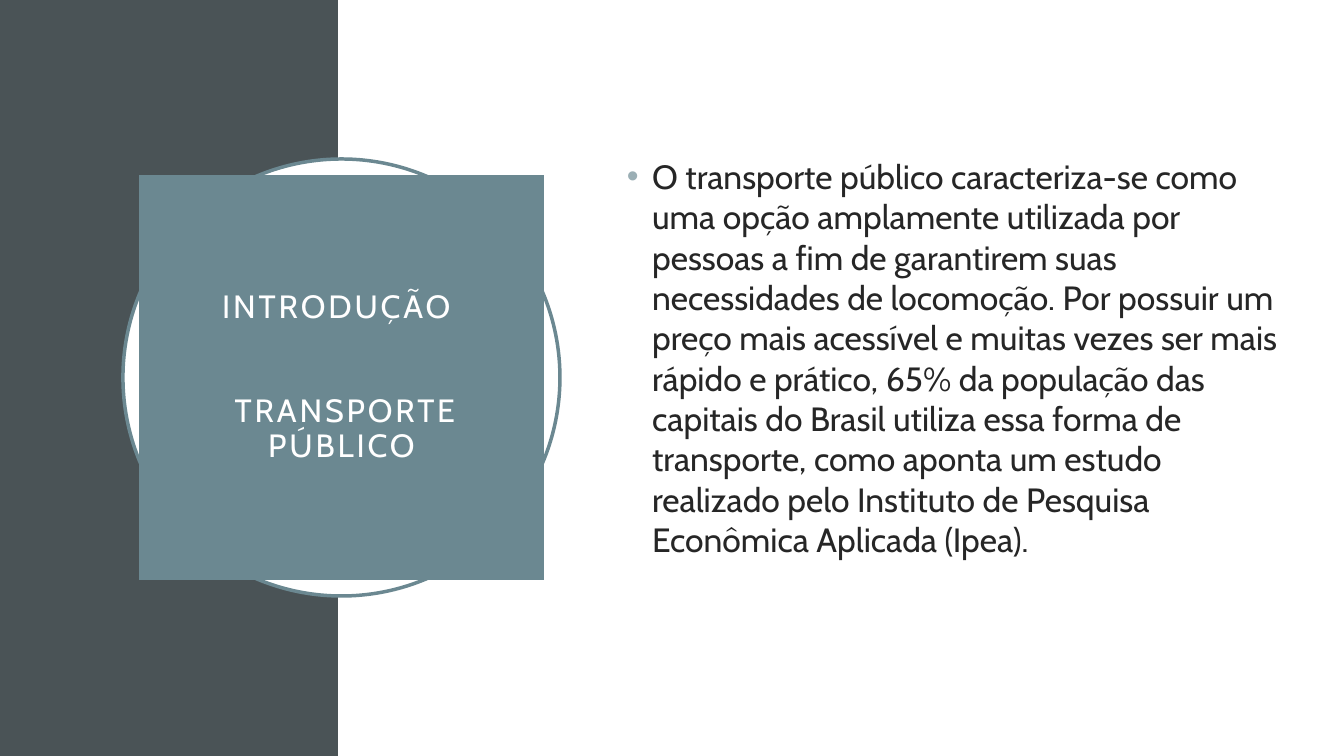
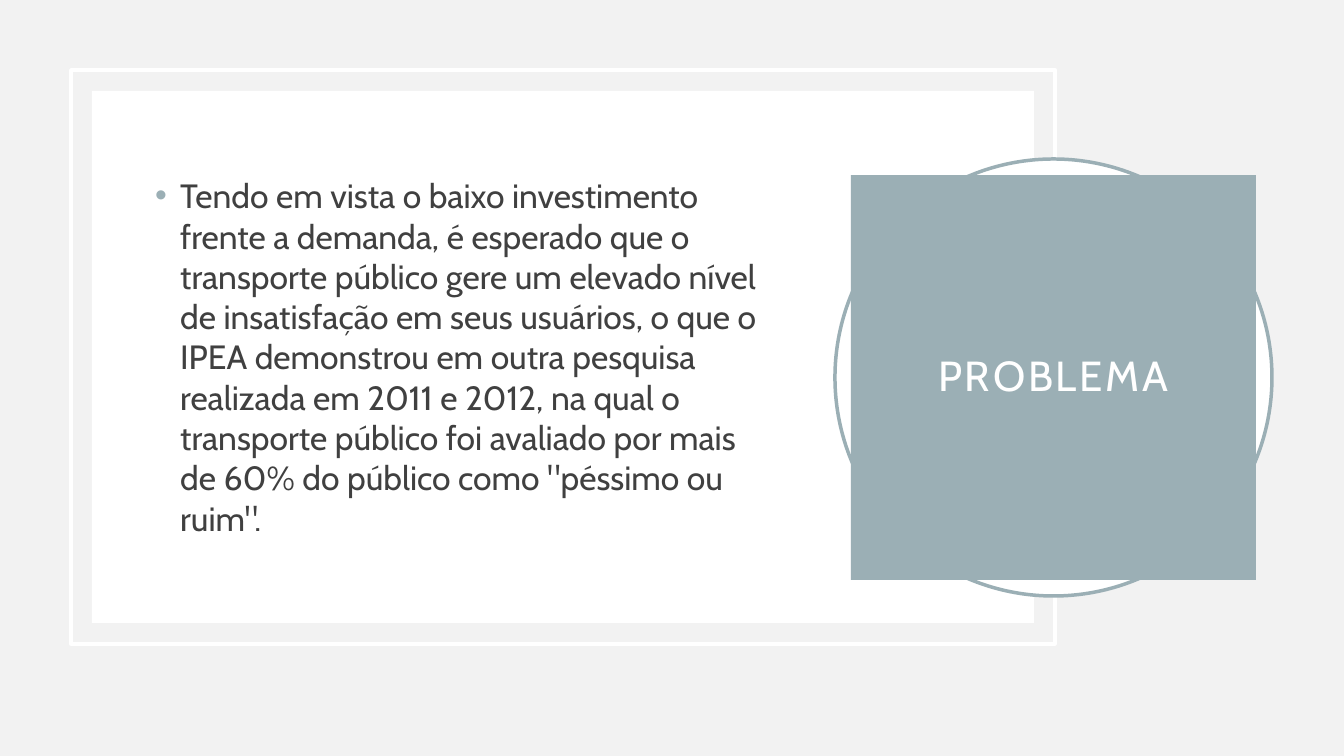
from pptx import Presentation
from pptx.dml.color import RGBColor
from pptx.enum.shapes import MSO_SHAPE as SHAPE
from pptx.enum.text import MSO_ANCHOR as ANCHOR, PP_ALIGN as ALIGN
from pptx.oxml.ns import qn
from pptx.util import Pt
from lxml.etree import SubElement

PX = 914400 / 100.8
WIDTH, HEIGHT = 1344, 756
FONT = "Cabin"
WHITE, PALE, SLATE = "FFFFFF", "F2F2F2", "4A5356"
TEAL, MIST = "6B8891", "9BAFB5"
INK, GRAPHITE = "262626", "404040"
LINE_WIDTH = 2.5


def px(n):
    return round(n * PX)


def color(value):
    return RGBColor.from_string(value)


def inset(box, n):
    x, y, w, h = box
    return x + n, y + n, w - 2 * n, h - 2 * n


def add_shape(s, kind, box, fill=None, line=None):
    sp = s.shapes.add_shape(kind, *map(px, box))
    sp.shadow.inherit = False
    if fill:
        sp.fill.solid()
        sp.fill.fore_color.rgb = color(fill)
    else:
        sp.fill.background()
    if line:
        sp.line.color.rgb = color(line)
        sp.line.width = Pt(LINE_WIDTH)
    else:
        sp.line.fill.background()
    return sp


def add_bullet(p, fill):
    pPr = p._p.get_or_add_pPr()
    pPr.set("marL", "228600")
    pPr.set("indent", "-228600")
    SubElement(SubElement(pPr, qn("a:buClr")), qn("a:srgbClr")).set("val", fill)
    SubElement(pPr, qn("a:buFont")).set("typeface", "Arial")
    SubElement(pPr, qn("a:buChar")).set("char", "•")


def write(sp, *lines, size, fill, align=ALIGN.LEFT, leading=None, gap=0,
          tracking=None, bullet=None, margins=(10, 5)):
    tf = sp.text_frame
    tf.word_wrap = True
    tf.vertical_anchor = ANCHOR.MIDDLE
    tf.margin_left = tf.margin_right = px(margins[0])
    tf.margin_top = tf.margin_bottom = px(margins[1])
    for i, line in enumerate(lines):
        p = tf.add_paragraph() if i else tf.paragraphs[0]
        p.alignment = align
        if leading:
            p.line_spacing = leading
        if i:
            p.space_before = Pt(gap)
        if bullet:
            add_bullet(p, bullet)
        r = p.add_run()
        r.text = line
        r.font.name = FONT
        r.font.size = Pt(size)
        r.font.color.rgb = color(fill)
        if tracking:
            r._r.get_or_add_rPr().set("spc", str(tracking * 100))


def add_emblem(s, x, fill, *title, size, gap=0):
    ring = (x, 159, 437, 437)
    add_shape(s, SHAPE.OVAL, ring, WHITE, fill)
    square = add_shape(s, SHAPE.RECTANGLE, inset(ring, 16), fill)
    write(square, *title, size=size, fill=WHITE, align=ALIGN.CENTER,
          leading=0.9, gap=gap, tracking=2, margins=(20, 20))


def add_body(s, box, text, fill):
    sp = s.shapes.add_textbox(*map(px, box))
    write(sp, text, size=24, fill=fill, bullet=MIST)


def add_slide(prs, background):
    s = prs.slides.add_slide(prs.slide_layouts[6])
    s.background.fill.solid()
    s.background.fill.fore_color.rgb = color(background)
    return s


def add_intro(prs):
    s = add_slide(prs, WHITE)
    add_shape(s, SHAPE.RECTANGLE, (0, 0, 338, HEIGHT), SLATE)
    add_emblem(s, 123, TEAL, "INTRODUÇÃO ", " TRANSPORTE PÚBLICO", size=23, gap=50)
    add_body(s, (617, 134, 679, 447),
             "O transporte público caracteriza-se como uma opção amplamente "
             "utilizada por pessoas a fim de garantirem suas necessidades de "
             "locomoção. Por possuir um preço mais acessível e muitas vezes ser "
             "mais rápido e prático, 65% da população das capitais do Brasil "
             "utiliza essa forma de transporte, como aponta um estudo realizado "
             "pelo Instituto de Pesquisa Econômica Aplicada (Ipea).", INK)


def add_problem(prs):
    s = add_slide(prs, PALE)
    frame = (71, 70, 984, 574)
    add_shape(s, SHAPE.RECTANGLE, frame, line=WHITE)
    add_shape(s, SHAPE.RECTANGLE, inset(frame, 21), WHITE)
    add_body(s, (145, 141, 630, 431),
             "Tendo em vista o baixo investimento frente a demanda, é esperado "
             "que o transporte público gere um elevado nível de insatisfação em "
             "seus usuários, o que o IPEA demonstrou em outra pesquisa realizada "
             "em 2011 e 2012, na qual o transporte público foi avaliado por mais "
             "de 60% do público como \"péssimo ou ruim\".", GRAPHITE)
    add_emblem(s, 835, MIST, "PROBLEMA", size=30)


def main():
    prs = Presentation()
    prs.slide_width, prs.slide_height = px(WIDTH), px(HEIGHT)
    add_intro(prs)
    add_problem(prs)
    prs.save("out.pptx")


if __name__ == "__main__":
    main()
